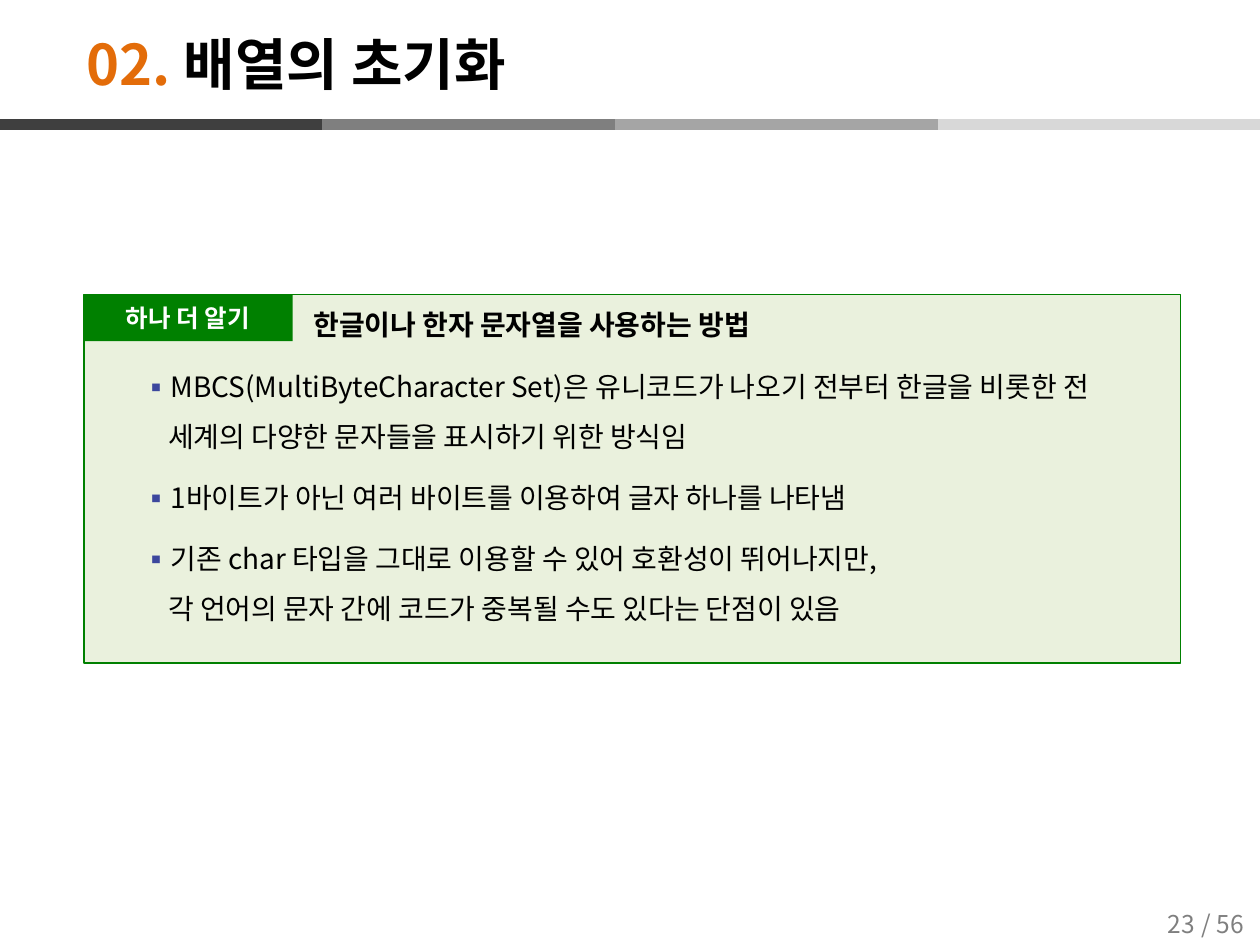
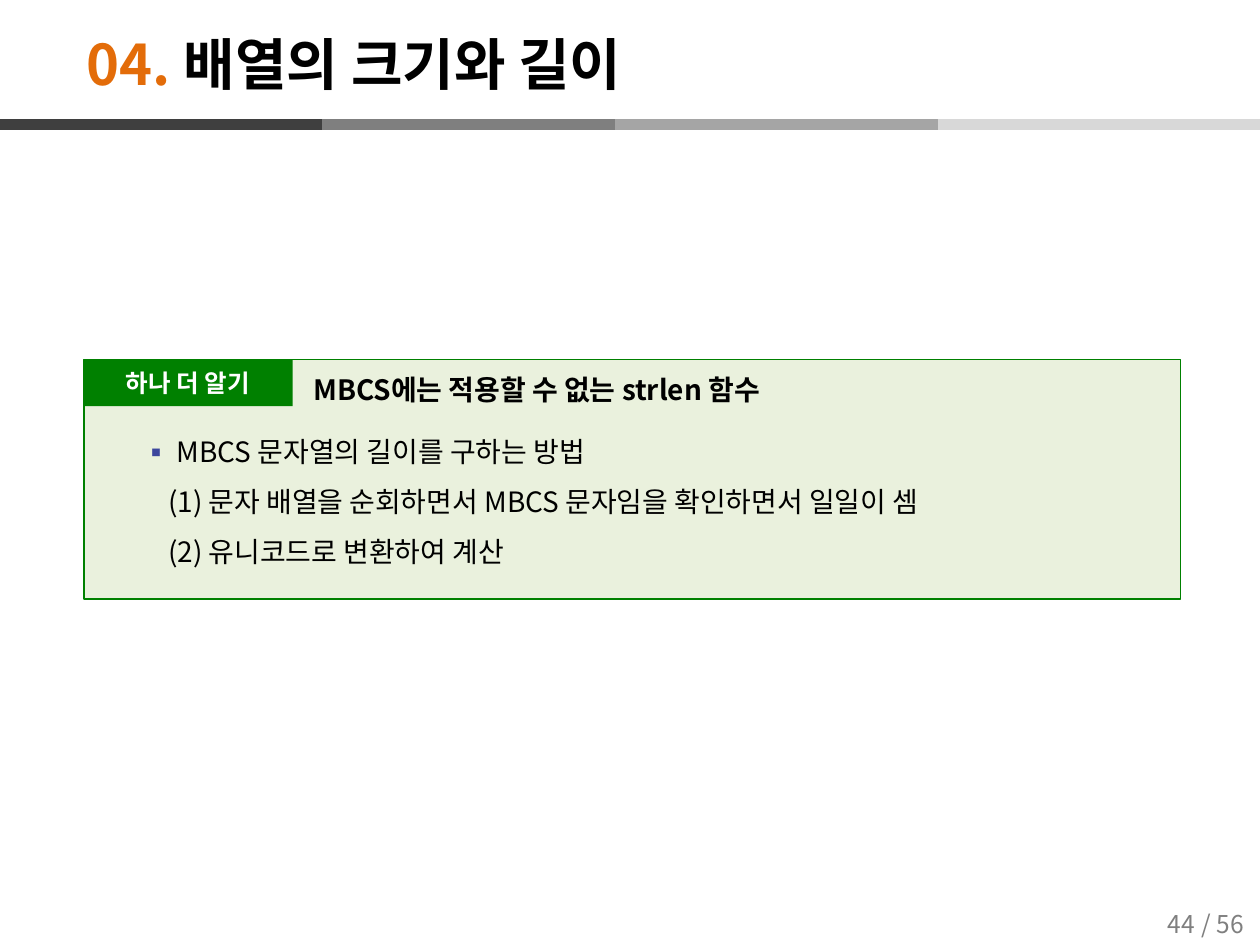
from copy import deepcopy

from lxml import etree
from pptx import Presentation
from pptx.dml.color import RGBColor
from pptx.enum.shapes import MSO_CONNECTOR, MSO_SHAPE
from pptx.enum.text import MSO_ANCHOR, PP_ALIGN
from pptx.oxml.ns import qn
from pptx.util import Cm, Pt

RECTANGLE = MSO_SHAPE.RECTANGLE
STRAIGHT = MSO_CONNECTOR.STRAIGHT
TOP, MIDDLE = MSO_ANCHOR.TOP, MSO_ANCHOR.MIDDLE
LEFT, CENTER = PP_ALIGN.LEFT, PP_ALIGN.CENTER

# Shared look
FONT = "Noto Sans CJK KR"
BLACK, WHITE, GREY = "000000", "FFFFFF", "7F7F7F"
ORANGE, GREEN, PALE_GREEN, BULLET_BLUE = "E36C09", "008000", "EAF1DD", "3C479D"
TITLE = {"size": Pt(32), "bold": True}
HEADING = {"size": Pt(16), "bold": True}
BODY = {"size": Pt(16), "bold": False}
TAG = {"size": Pt(14), "bold": True}
FOOTER = {"size": Pt(14), "bold": False}
BODY_SPACING = {"line_spacing": 1.5, "space_before": Pt(6)}

PAGE_COUNT = 56
BAND_WIDTH = 6.5
BAND_Y = 2.51
# The dark first segment comes last, as it overlaps its neighbour
BANDS = [(5.89, GREY), (12.4, "A5A5A5"), (18.9, "D8D8D8"), (0, "3F3F3F")]


def color(hex_text):
    return RGBColor.from_string(hex_text)


def set_values(target, values):
    for name, value in values.items():
        setattr(target, name, value)


def style_run(run, font_values, hex_text):
    set_values(run.font, {"name": FONT, **font_values})
    run.font.color.rgb = color(hex_text)
    properties = run.font._element
    latin = properties.find(qn("a:latin"))
    east_asian = etree.Element(qn("a:ea"), typeface=FONT)
    latin.addnext(east_asian)


def write(paragraph, text, font_values, hex_text, align=LEFT, spacing=None):
    """Fill a paragraph; a newline in the text becomes a line break."""
    paragraph.text = text
    set_values(paragraph, {"alignment": align, **(spacing or {})})
    for run in paragraph.runs:
        style_run(run, font_values, hex_text)
    for line_break in paragraph._p.findall(qn("a:br")):
        line_break.append(deepcopy(paragraph.runs[0].font._element))


def add_text_box(slide, left, top, width, height, anchor=MIDDLE):
    box = slide.shapes.add_textbox(Cm(left), Cm(top), Cm(width), Cm(height))
    set_values(box.text_frame, {"word_wrap": True, "vertical_anchor": anchor})
    return box.text_frame


def add_box(slide, left, top, width, height, fill, line=None):
    shape = slide.shapes.add_shape(RECTANGLE, Cm(left), Cm(top), Cm(width), Cm(height))
    shape.shadow.inherit = False
    shape.fill.solid()
    shape.fill.fore_color.rgb = color(fill)
    if line:
        shape.line.color.rgb = color(line)
        shape.line.width = Pt(1)
    else:
        shape.line.fill.background()
    return shape


def add_band(slide, left, hex_text):
    band = slide.shapes.add_connector(
        STRAIGHT, Cm(left), Cm(BAND_Y), Cm(left + BAND_WIDTH), Cm(BAND_Y))
    band.line.color.rgb = color(hex_text)
    band.line.width = Pt(6)
    etree.SubElement(band._element.spPr, qn("a:effectLst"))


def add_bullet(paragraph):
    properties = paragraph._p.get_or_add_pPr()
    properties.set("marL", str(Cm(1.24)))
    properties.set("indent", str(Cm(-0.51)))
    bullet_color = etree.SubElement(properties, qn("a:buClr"))
    etree.SubElement(bullet_color, qn("a:srgbClr"), val=BULLET_BLUE)
    etree.SubElement(properties, qn("a:buFont"), typeface=FONT)
    etree.SubElement(properties, qn("a:buChar"), char="▪")


def add_frame(slide, number, title, page):
    """Grey band, page number and numbered title."""
    for left, hex_text in BANDS:
        add_band(slide, left, hex_text)
    for left, text in ((23.75, f"/ {PAGE_COUNT}"), (22.91, str(page))):
        frame = add_text_box(slide, left, 18.13, 1.8, 1)
        write(frame.paragraphs[0], text, FOOTER, GREY, CENTER)
    paragraph = add_text_box(slide, 1.5, 0.5, 19, 1.53).paragraphs[0]
    for text, hex_text in ((f"{number}. ", ORANGE), (title, BLACK)):
        run = paragraph.add_run()
        run.text = text
        style_run(run, TITLE, hex_text)


def add_note(slide, top, height, heading, bullets):
    """Green-edged panel with a tag, a heading and bullets."""
    add_box(slide, 1.7, top, 22.1, height, PALE_GREEN, GREEN)

    body = add_text_box(slide, 1.9, top + 1.04, 21.7, height - 1.04, TOP)
    for index, text in enumerate(bullets):
        paragraph = body.add_paragraph() if index else body.paragraphs[0]
        write(paragraph, text, BODY, BLACK, spacing=BODY_SPACING)
        add_bullet(paragraph)

    tag = add_box(slide, 1.68, top, 4.22, 0.94, GREEN).text_frame
    tag.vertical_anchor = MIDDLE
    write(tag.paragraphs[0], "하나 더 알기", TAG, WHITE, CENTER)

    title = add_text_box(slide, 6.07, top + 0.05, 13.1, 0.76)
    write(title.paragraphs[0], heading, HEADING, BLACK, spacing={"line_spacing": 1.5})


def main():
    presentation = Presentation()
    presentation.slide_width, presentation.slide_height = Cm(25.4), Cm(19.05)
    blank = presentation.slide_layouts[6]

    # Multibyte strings
    slide = presentation.slides.add_slide(blank)
    add_frame(slide, "02", "배열의 초기화", 23)
    add_note(slide, 5.94, 7.42, "한글이나 한자 문자열을 사용하는 방법", [
        "MBCS(MultiByteCharacter Set)은 유니코드가 나오기 전부터 한글을 비롯한 "
        "전 세계의 다양한 문자들을 표시하기 위한 방식임",
        "1바이트가 아닌 여러 바이트를 이용하여 글자 하나를 나타냄",
        "기존 char 타입을 그대로 이용할 수 있어 호환성이 뛰어나지만,\n"
        "각 언어의 문자 간에 코드가 중복될 수도 있다는 단점이 있음",
    ])

    # Length of multibyte strings
    slide = presentation.slides.add_slide(blank)
    add_frame(slide, "04", "배열의 크기와 길이", 44)
    add_note(slide, 7.25, 4.82, "MBCS에는 적용할 수 없는 strlen 함수", [
        " MBCS 문자열의 길이를 구하는 방법\n"
        "(1) 문자 배열을 순회하면서 MBCS 문자임을 확인하면서 일일이 셈\n"
        "(2) 유니코드로 변환하여 계산",
    ])

    presentation.save("out.pptx")


if __name__ == "__main__":
    main()
